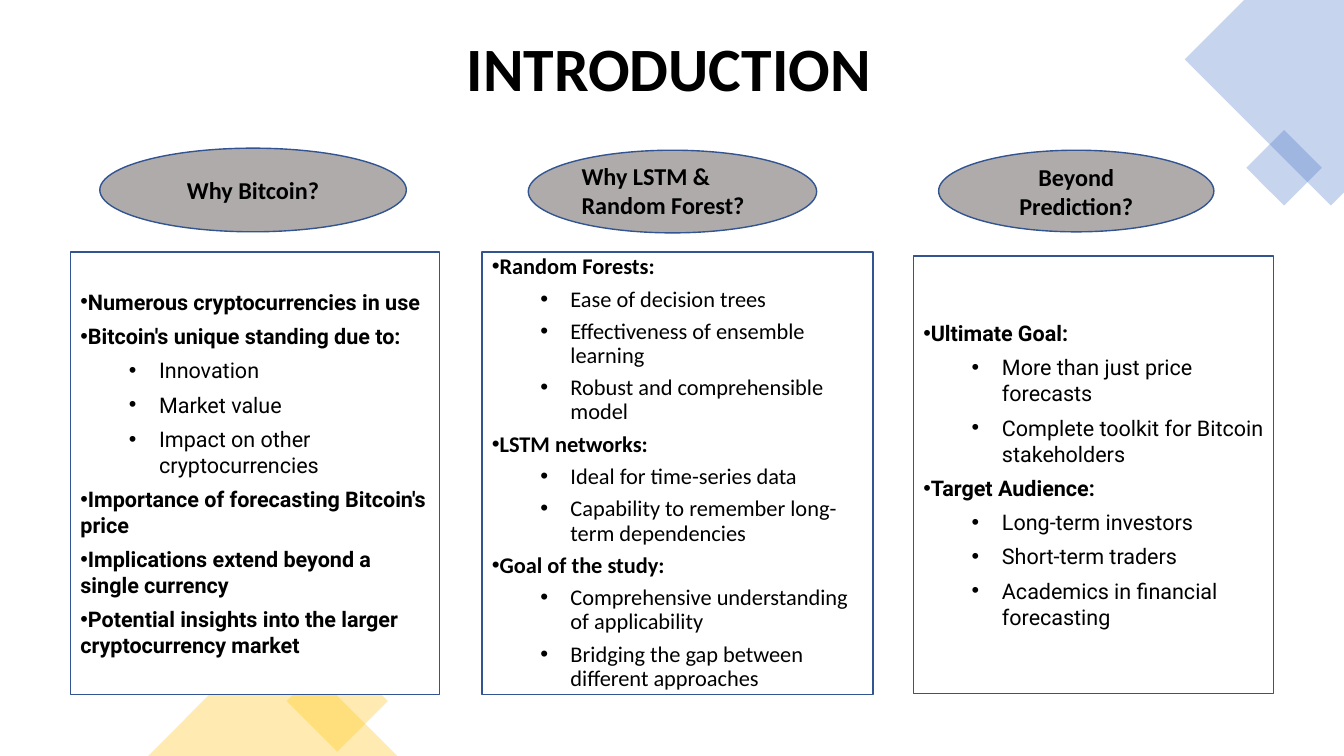
from lxml import etree
from pptx import Presentation
from pptx.dml.color import RGBColor
from pptx.enum.shapes import MSO_SHAPE as Shape
from pptx.enum.text import MSO_ANCHOR as Anchor, PP_ALIGN as Align
from pptx.oxml.ns import qn
from pptx.util import Inches, Pt

COLORS = {
    "text": "000000",
    "panel": "FFFFFF",
    "oval": "AFABAB",
    "outline": "325491",
    "blue": "4472C4",
    "gold": "FFC000",
}
HEADING = {"size": 17.3, "bold": True, "after": 6}
ROBOTO = {"font": "Roboto", "size": 15.4, "after": 6}
CALIBRI = {"font": "Calibri", "size": 16, "after": 5.8, "line": 0.9}

# Each panel: oval box, body box, body format, topics with their points
WHY_BITCOIN = (
    (0.99, 1.47, 3.04, 0.83), (0.7, 2.5, 3.66, 4.39), ROBOTO,
    [
        ("Numerous cryptocurrencies in use", []),
        ("Bitcoin's unique standing due to:",
         ["Innovation", "Market value", "Impact on other cryptocurrencies"]),
        ("Importance of forecasting Bitcoin's price", []),
        ("Implications extend beyond a single currency", []),
        ("Potential insights into the larger cryptocurrency market", []),
    ],
)
WHY_MODELS = (
    (5.24, 1.49, 2.86, 0.82), (4.78, 2.5, 3.88, 4.39), CALIBRI,
    [
        ("Random Forests:",
         ["Ease of decision trees", "Effectiveness of ensemble learning",
          "Robust and comprehensible model"]),
        ("LSTM networks:",
         ["Ideal for time-series data",
          "Capability to remember long-term dependencies"]),
        ("Goal of the study:",
         ["Comprehensive understanding of applicability",
          "Bridging the gap between different approaches"]),
    ],
)
BEYOND = (
    (9.31, 1.49, 2.73, 0.81), (9.06, 2.54, 3.57, 4.34), ROBOTO,
    [
        ("Ultimate Goal:",
         ["More than just price forecasts",
          "Complete toolkit for Bitcoin stakeholders"]),
        ("Target Audience:",
         ["Long-term investors", "Short-term traders",
          "Academics in financial forecasting"]),
    ],
)


def color(name):
    return RGBColor.from_string(COLORS[name])


def add_bullet(para, level):
    """Level 0 sets the bullet against the text; level 1 hangs it."""
    para.level = level
    props = para._p.get_or_add_pPr()
    props.set("marL", str(Inches(0.78 * level)))
    props.set("indent", str(Inches(-0.3 * level)))
    etree.SubElement(props, qn("a:buFont")).set("typeface", "Arial")
    etree.SubElement(props, qn("a:buChar")).set("char", "•")


def write(frame, text, font="Calibri", size=16, bold=False, align=Align.LEFT,
          after=0, line=None, level=None):
    """Fill the frame's empty first paragraph, or add one below."""
    para = frame.paragraphs[0]
    if para.runs:
        para = frame.add_paragraph()
    if level is not None:
        add_bullet(para, level)
    para.alignment = align
    para.space_after = Pt(after)
    if line:
        para.line_spacing = line
    span = para.add_run()
    span.text = text
    span.font.name = font
    span.font.size = Pt(size)
    span.font.bold = bold
    span.font.color.rgb = color("text")


def paint(shape, fill, outline=None, opacity=None):
    shape.shadow.inherit = False
    shape.fill.solid()
    shape.fill.fore_color.rgb = color(fill)
    if opacity:
        tint = shape.fill._xPr.find(qn("a:solidFill"))[0]
        etree.SubElement(tint, qn("a:alpha")).set("val", str(opacity * 1000))
    if outline:
        shape.line.color.rgb = color(outline)
        shape.line.width = Pt(1)
    else:
        shape.line.fill.background()


def add_figure(page, kind, box, fill, outline=None, opacity=None, rotation=0):
    shape = page.shapes.add_shape(kind, *map(Inches, box))
    shape.rotation = rotation
    paint(shape, fill, outline, opacity)
    shape.text_frame.word_wrap = True
    shape.text_frame.vertical_anchor = Anchor.MIDDLE
    return shape


def add_label(page, box, text, anchor=Anchor.TOP, **style):
    frame = page.shapes.add_textbox(*map(Inches, box)).text_frame
    frame.word_wrap = True
    frame.vertical_anchor = anchor
    write(frame, text, **style)


def add_corner_blue(page, right):
    """Cut-off diamond running off the top right corner, with a small one."""
    corners = [(right, 0), (right - 0.99, 0), (right - 1.58, 0.59),
               (right - 0.13, 2.04), (right, 1.91)]
    points = [(Inches(x), Inches(y)) for x, y in corners]
    builder = page.shapes.build_freeform(*points[0])
    builder.add_line_segments(points[1:], close=True)
    paint(builder.convert_to_shape(), "blue", opacity=30)
    add_figure(page, Shape.RECTANGLE, (right - 0.86, 1.4, 0.53, 0.53), "blue",
               opacity=30, rotation=45)


def add_corner_gold(page, left, bottom):
    add_figure(page, Shape.RECTANGLE, (left + 1.52, bottom - 0.9, 0.71, 0.71),
               "gold", opacity=30, rotation=45)
    add_figure(page, Shape.ISOSCELES_TRIANGLE,
               (left, bottom - 1.24, 2.47, 1.24), "gold", opacity=30)


def add_panel(page, oval_box, body_box, style, topics, heading=None):
    oval = add_figure(page, Shape.OVAL, oval_box, "oval", "outline")
    if heading:
        write(oval.text_frame, heading, align=Align.CENTER, **HEADING)
    body = add_figure(page, Shape.RECTANGLE, body_box, "panel", "outline")
    for topic, points in topics:
        write(body.text_frame, topic, bold=True, level=0, **style)
        for point in points:
            write(body.text_frame, point, level=1, **style)


def add_introduction(deck):
    page = deck.slides.add_slide(deck.slide_layouts[6])
    add_corner_blue(page, 13.33)
    add_corner_gold(page, 1.47, 7.5)
    add_label(page, (4.53, 0.34, 4.61, 0.74), "INTRODUCTION", Anchor.MIDDLE,
              size=44, bold=True, line=0.9)
    add_panel(page, *WHY_BITCOIN, heading="Why Bitcoin?")
    add_panel(page, *WHY_MODELS)
    add_panel(page, *BEYOND, heading="Beyond Prediction?")
    add_label(page, (5.67, 1.55, 2.34, 0.68), "Why LSTM & Random Forest?",
              **HEADING)


def main():
    deck = Presentation()
    deck.slide_width = Inches(13.33)
    deck.slide_height = Inches(7.5)
    add_introduction(deck)
    deck.save("out.pptx")


if __name__ == "__main__":
    main()
